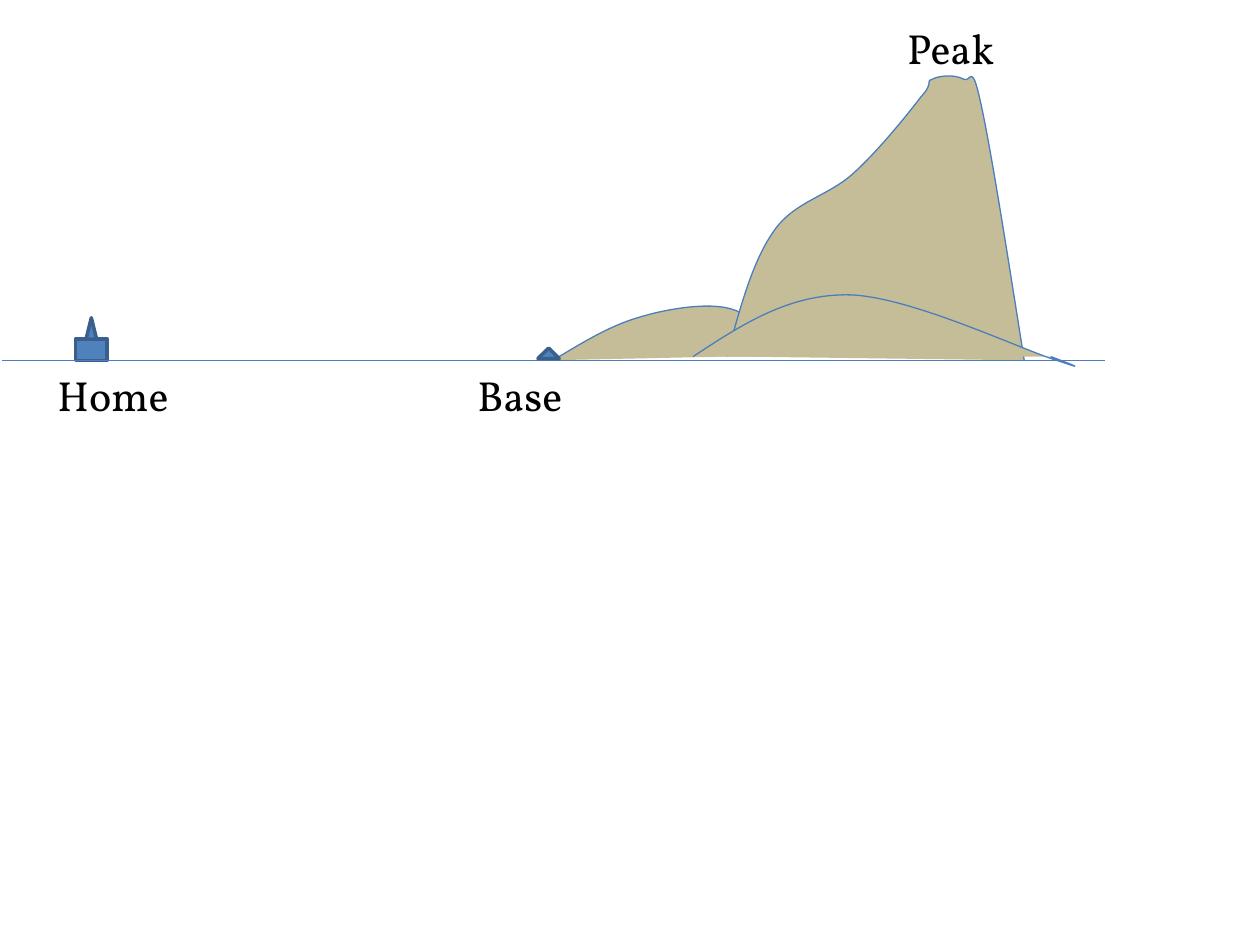
from pptx import Presentation
from pptx.dml.color import RGBColor
from pptx.enum.shapes import MSO_CONNECTOR as Connector, MSO_SHAPE as Shape
from pptx.enum.text import MSO_AUTO_SIZE as AutoSize
from pptx.oxml.ns import qn
from pptx.util import Pt
from lxml.etree import SubElement

SAND = RGBColor(0xC4, 0xBD, 0x97)
BLUE = RGBColor(0x4F, 0x81, 0xBD)
DARK_BLUE = RGBColor(0x3A, 0x5F, 0x8C)
OUTLINE = RGBColor(0x4B, 0x7E, 0xBC)
BLACK = RGBColor(0, 0, 0)
FONT = "Vollkorn"

GROUND_Y = 206

# Curves: a start point, then three Bezier points per segment
HILL = [
    (0, 68.7),
    (10.9, 54.1), (21.5, 38.5), (35.5, 27.1),
    (48.7, 16), (68.5, 3.7), (81.9, 2),
    (95.9, 0), (106.3, 8), (116.8, 16.2),
]
MOUNTAIN = [
    (0, 169.9),
    (7.2, 143.3), (14.4, 115.9), (26.6, 98.6),
    (38.2, 81.4), (57.6, 78.5), (72, 65.5),
    (86.4, 52.6), (103.7, 31), (110.9, 21.6),
    (118.8, 13), (113, 13), (117.4, 11.5),
    (121, 9.4), (130.3, 8.6), (135.4, 11.5),
    (139.7, 13.7), (139.7, 0), (145.4, 26.6),
    (151.2, 53.3), (160.6, 113), (169.9, 172.1),
]
FOOTHILL = [
    (0, 36),
    (27.4, 18), (54.7, 0), (89.3, 0.7),
    (123.8, 1.4), (188.6, 32.4), (208.1, 38.2),
    (226.8, 44.6), (216, 40.3), (204.5, 36),
]


def style(shape, fill, line, width):
    shape.shadow.inherit = False
    shape.fill.solid()
    shape.fill.fore_color.rgb = fill
    shape.line.color.rgb = line
    shape.line.width = Pt(width)


def add_landform(slide, left, top, curve, rotation=0):
    points = [(Pt(left + x), Pt(top + y)) for x, y in curve]
    builder = slide.shapes.build_freeform(*points[0])
    builder.add_line_segments(points[1:], close=False)
    shape = builder.convert_to_shape()
    # Merge every three straight segments into one Bezier segment
    outline = next(shape._element.iter(qn("a:path")))
    segments = outline.findall(qn("a:lnTo"))
    for first in range(0, len(segments), 3):
        bezier = SubElement(outline, qn("a:cubicBezTo"))
        for segment in segments[first:first + 3]:
            bezier.append(segment[0])
            outline.remove(segment)
    shape.rotation = rotation
    style(shape, SAND, OUTLINE, 0.75)


def add_solid(slide, kind, left, top, width, height):
    shape = slide.shapes.add_shape(kind, Pt(left), Pt(top), Pt(width), Pt(height))
    style(shape, BLUE, DARK_BLUE, 2)


def add_house(slide, left, top, width, height):
    half = height / 2
    spire = width / 3
    add_solid(slide, Shape.RECTANGLE, left, top + half, width, half)
    add_solid(slide, Shape.ISOSCELES_TRIANGLE,
              left + (width - spire) / 2, top, spire, half)


def add_ground(slide, left, top, width):
    line = slide.shapes.add_connector(
        Connector.STRAIGHT, Pt(left), Pt(top), Pt(left + width), Pt(top))
    line.line.color.rgb = OUTLINE
    line.line.width = Pt(0.75)
    SubElement(line._element.spPr, qn("a:effectLst"))


def add_label(slide, text, left, top, width, height=36):
    box = slide.shapes.add_textbox(Pt(left), Pt(top), Pt(width), Pt(height))
    frame = box.text_frame
    frame.word_wrap = False
    frame.auto_size = AutoSize.SHAPE_TO_FIT_TEXT
    run = frame.paragraphs[0].add_run()
    run.text = text
    run.font.name = FONT
    run.font.size = Pt(24)
    run.font.color.rgb = BLACK


def main():
    presentation = Presentation()
    presentation.slide_width = Pt(720)
    presentation.slide_height = Pt(540)
    slide = presentation.slides.add_slide(presentation.slide_layouts[6])

    # Landscape, from back to front
    add_landform(slide, 324.7, 162.7, HILL, rotation=23)
    add_landform(slide, 415.4, 33.8, MOUNTAIN)
    add_house(slide, 43.2, GROUND_Y - 24.4, 18, 24.4)
    add_ground(slide, 1.4, GROUND_Y, 630)
    add_landform(slide, 396, 167.8, FOOTHILL)

    # Tent at the base
    add_solid(slide, Shape.ISOSCELES_TRIANGLE, 307.4, 198.9, 12.2, 6)

    # Place names
    add_label(slide, "Home", 25.8, 207.4, 81.4)
    add_label(slide, "Base", 265.7, 207.4, 63.4)
    add_label(slide, "Peak", 511.2, 9.4, 66.2)

    presentation.save("out.pptx")


if __name__ == "__main__":
    main()
